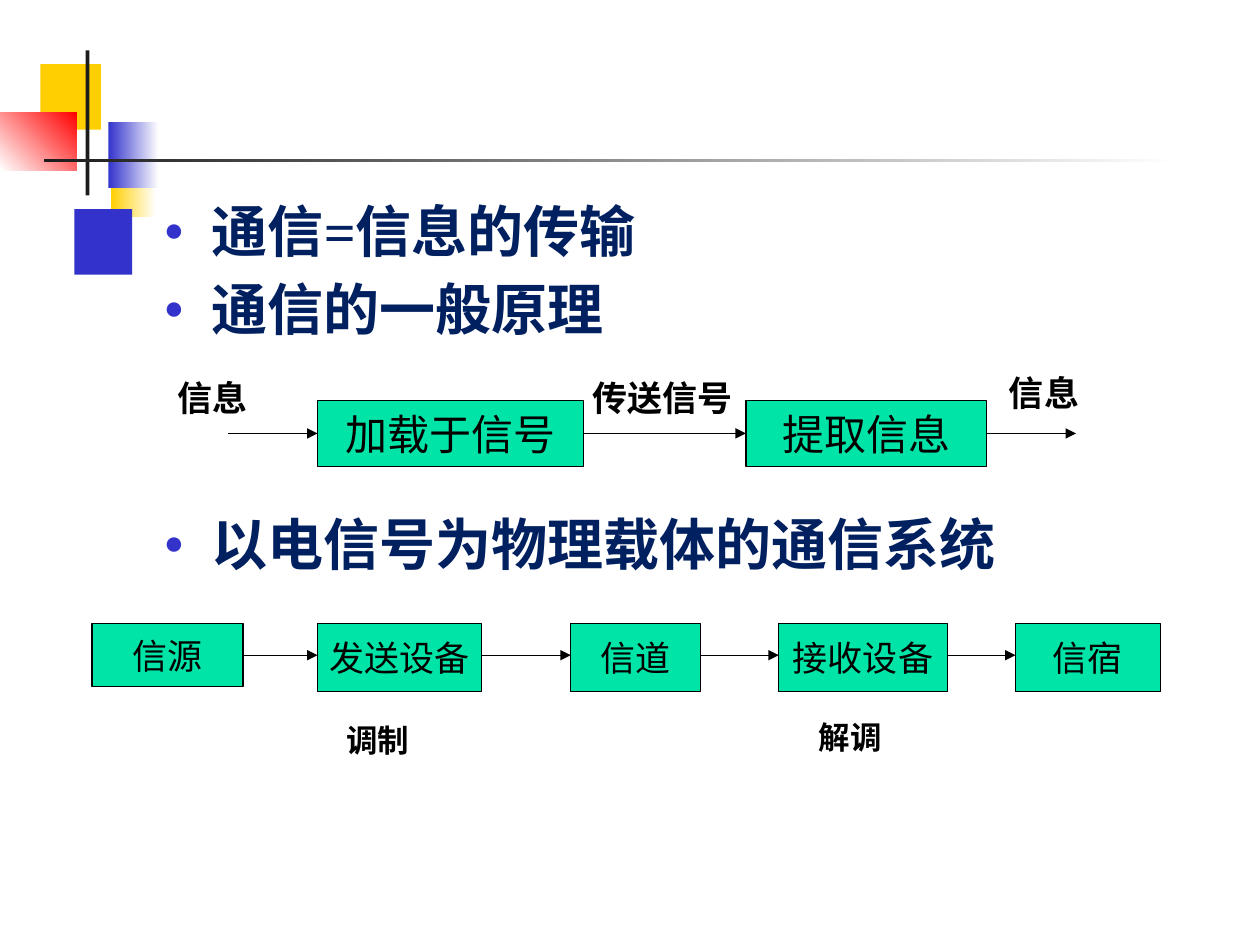
from pptx import Presentation, util as u
from pptx.dml.color import RGBColor
from pptx.enum import shapes, text
from pptx.oxml.ns import qn
from lxml import etree

THEME = dict(
    font="Times New Roman", ink="000000", head="002060", box="00E4A8",
    blue="3333CC", gold="FFCF01", red="FF0000", dark="1C1C1C", white="FFFFFF",
    list=32, big=24, mid=20, small=18, line=0.75,
)
DECOR = [
    (0.88, 1.2, 0.36, 0.52, ("gold", "white"), 0),
    (0.59, 1.66, 0.46, 0.52, ("blue",), 0),
    (0.32, 0.51, 0.48, 0.52, ("gold",), 0),
    (0.86, 0.97, 0.4, 0.52, ("blue", "white"), 0),
    (0, 0.89, 0.61, 0.46, ("white", "red"), 45),
    (0.68, 0.4, 0.03, 1.15, ("dark",), 0),
    (0.35, 1.26, 9, 0.03, ("dark", "white"), 0),
]
POINTS = [
    ("通信=信息的传输", 0),
    ("通信的一般原理", 6.4),
    ("以电信号为物理载体的通信系统", 95.5),
]
FLOWS = [
    dict(top=3.18, size="big", lead=0.71, boxes=[
        ("加载于信号", 2.52, 2.11, 0.52),
        ("提取信息", 5.92, 1.91, 0.52)]),
    dict(top=4.95, size="mid", lead=0, boxes=[
        ("信源", 0.73, 1.2, 0.5),
        ("发送设备", 2.52, 1.3, 0.54),
        ("信道", 4.53, 1.03, 0.54),
        ("接收设备", 6.18, 1.34, 0.54),
        ("信宿", 8.06, 1.15, 0.54)]),
]
LABELS = [
    ("信息", 1.31, 2.94, 0.76, 0.44, "mid"),
    ("传送信号", 4.6, 2.94, 1.32, 0.44, "mid"),
    ("信息", 7.91, 2.9, 0.76, 0.44, "mid"),
    ("调制", 2.65, 5.67, 0.7, 0.4, "small"),
    ("解调", 6.4, 5.65, 0.7, 0.4, "small"),
]


def color(name):
    return RGBColor.from_string(THEME[name])


def inches(*nums):
    return [u.Inches(n) for n in nums]


def style(font, size, tint="ink", bold=False):
    font.name = THEME["font"]
    font.size = u.Pt(THEME[size])
    font.bold = bold
    font.color.rgb = color(tint)


def add_rect(slide, *place):
    rect = slide.shapes.add_shape(shapes.MSO_SHAPE.RECTANGLE, *inches(*place))
    rect.shadow.inherit = False
    return rect


def add_decor(slide, x, y, w, h, tints, angle):
    rect = add_rect(slide, x, y, w, h)
    rect.line.fill.background()
    if len(tints) == 1:
        rect.fill.solid()
        rect.fill.fore_color.rgb = color(tints[0])
        return
    rect.fill.gradient()
    rect.fill.gradient_angle = angle
    for stop, tint in zip(rect.fill.gradient_stops, tints):
        stop.color.rgb = color(tint)


def add_bullet(para):
    props = para._p.get_or_add_pPr()
    props.set("marL", str(u.Inches(0.38)))
    props.set("indent", str(u.Inches(-0.38)))
    tint = etree.SubElement(props, qn("a:buClr"))
    etree.SubElement(tint, qn("a:srgbClr"), val=THEME["blue"])
    etree.SubElement(props, qn("a:buSzPct"), val="60000")
    etree.SubElement(props, qn("a:buFont"), typeface=THEME["font"])
    etree.SubElement(props, qn("a:buChar"), char="●")


def add_points(slide):
    body = slide.placeholders[1]
    body.left, body.top, body.width, body.height = inches(1.2, 1.51, 8.8, 5.99)
    frame = body.text_frame
    frame.auto_size = text.MSO_AUTO_SIZE.NONE
    frame.vertical_anchor = text.MSO_ANCHOR.TOP
    frame.text = "\n".join(words for words, gap in POINTS)
    for para, (words, gap) in zip(frame.paragraphs, POINTS):
        add_bullet(para)
        para.space_before = u.Pt(gap)
        style(para.runs[0].font, "list", "head", True)


def add_box(slide, words, x, y, w, h, size):
    box = add_rect(slide, x, y, w, h)
    box.fill.solid()
    box.fill.fore_color.rgb = color("box")
    box.line.color.rgb = color("ink")
    box.line.width = u.Pt(THEME["line"])
    frame = box.text_frame
    frame.word_wrap = False
    frame.vertical_anchor = text.MSO_ANCHOR.MIDDLE
    frame.text = words
    para = frame.paragraphs[0]
    para.alignment = text.PP_ALIGN.CENTER
    style(para.runs[0].font, size)


def add_arrow(slide, start, end, y):
    arrow = slide.shapes.add_connector(
        shapes.MSO_CONNECTOR.STRAIGHT, *inches(start, y, end, y))
    arrow.line.color.rgb = color("ink")
    arrow.line.width = u.Pt(THEME["line"])
    etree.SubElement(arrow.line._get_or_add_ln(), qn("a:tailEnd"), type="triangle")
    etree.SubElement(arrow._element.spPr, qn("a:effectLst"))


def add_flow(slide, top, size, lead, boxes):
    for words, x, w, h in boxes:
        add_box(slide, words, x, top, w, h, size)
    starts = [x + w for _, x, w, _ in boxes]
    ends = [x for _, x, _, _ in boxes]
    spans = list(zip(starts, ends[1:]))
    if lead:
        spans = [(ends[0] - lead, ends[0]), *spans, (starts[-1], starts[-1] + lead)]
    for start, end in spans:
        add_arrow(slide, start, end, top + boxes[0][3] / 2)


def add_label(slide, words, x, y, w, h, size):
    frame = slide.shapes.add_textbox(*inches(x, y, w, h)).text_frame
    frame.word_wrap = False
    frame.auto_size = text.MSO_AUTO_SIZE.SHAPE_TO_FIT_TEXT
    frame.text = words
    style(frame.paragraphs[0].runs[0].font, size, bold=True)


def main():
    deck = Presentation()
    deck.slide_width, deck.slide_height = inches(10, 7.5)
    slide = deck.slides.add_slide(deck.slide_layouts[1])
    title = slide.shapes.title._element
    title.getparent().remove(title)
    for item in DECOR:
        add_decor(slide, *item)
    add_points(slide)
    for flow in FLOWS:
        add_flow(slide, **flow)
    for label in LABELS:
        add_label(slide, *label)
    deck.save("out.pptx")


if __name__ == "__main__":
    main()
